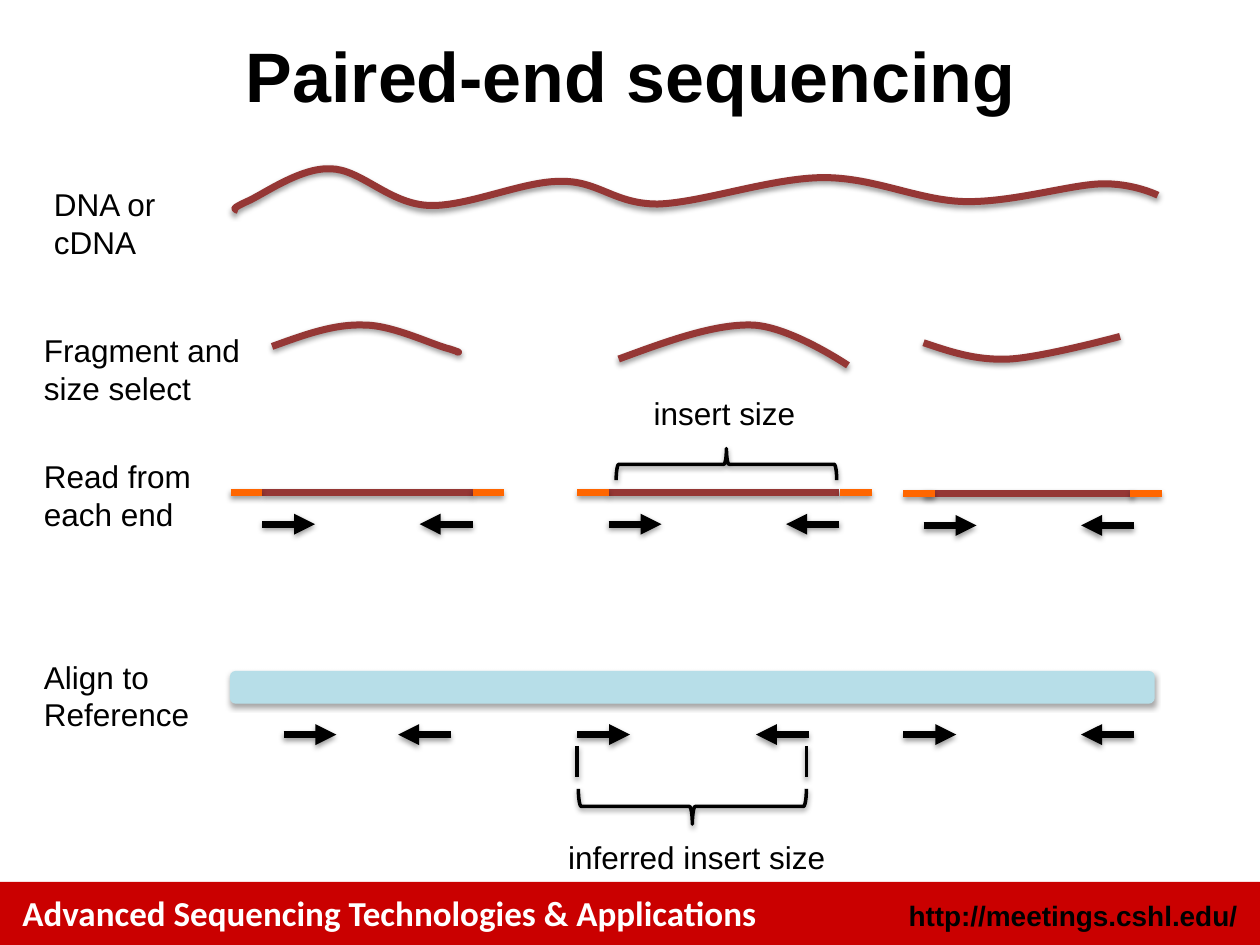
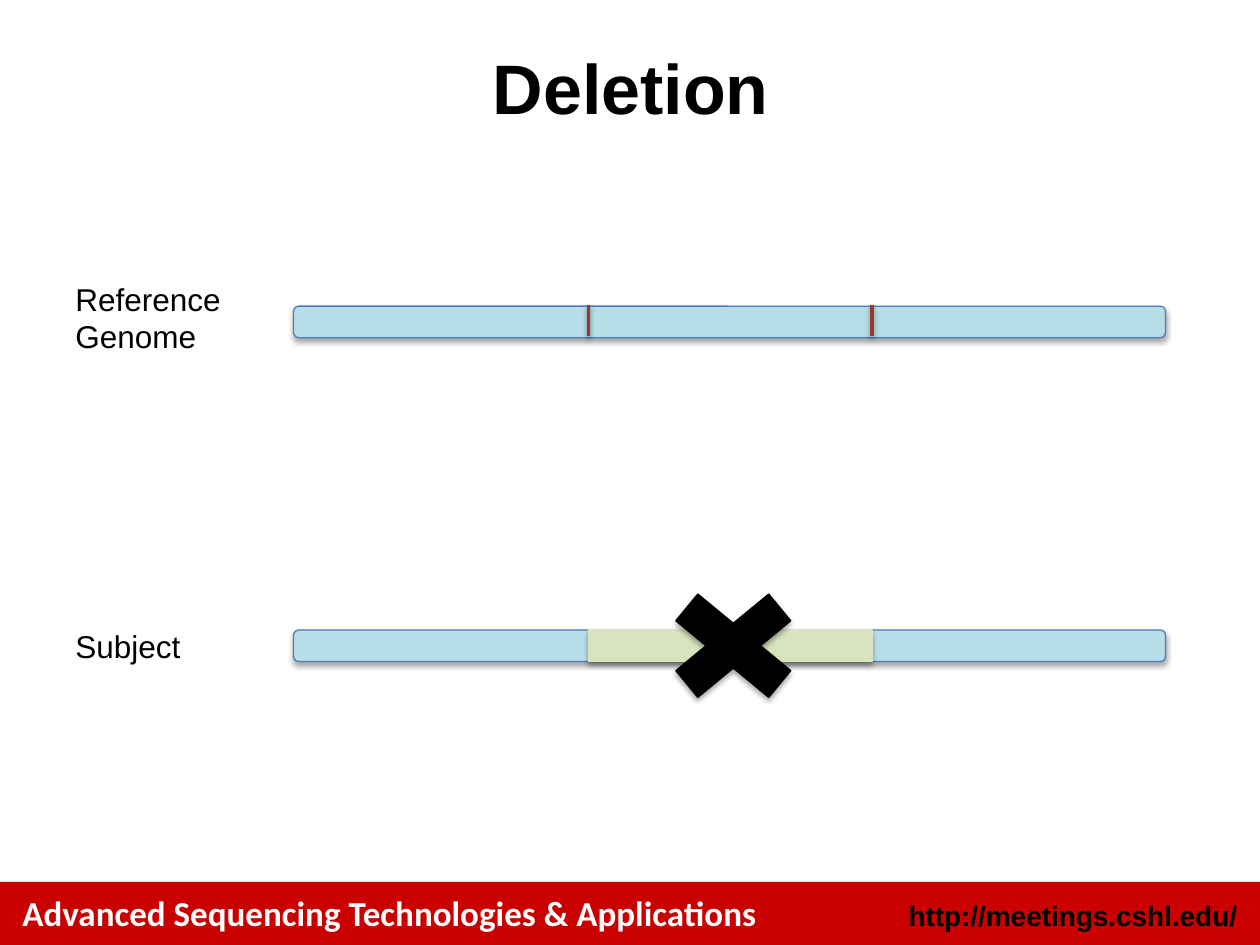
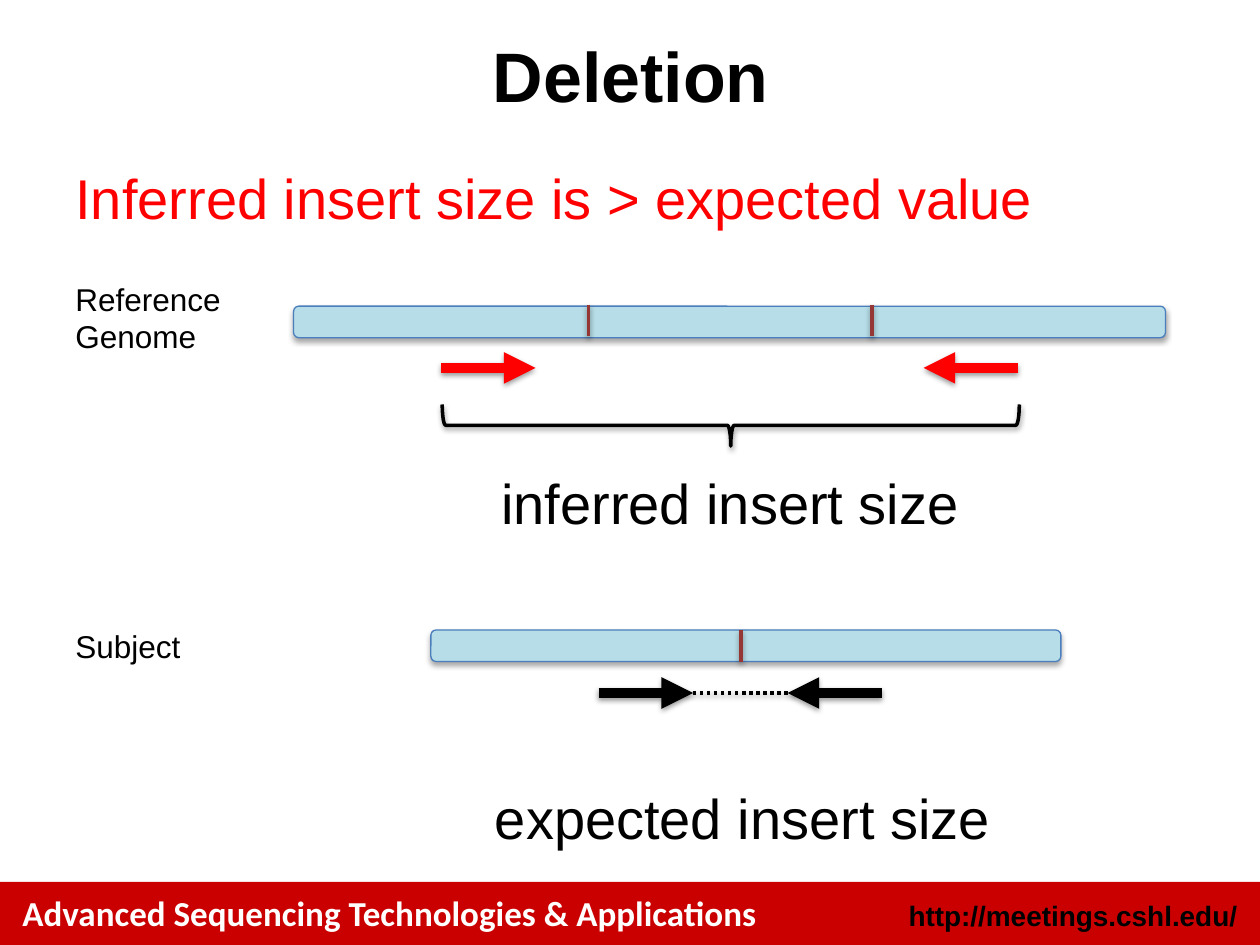
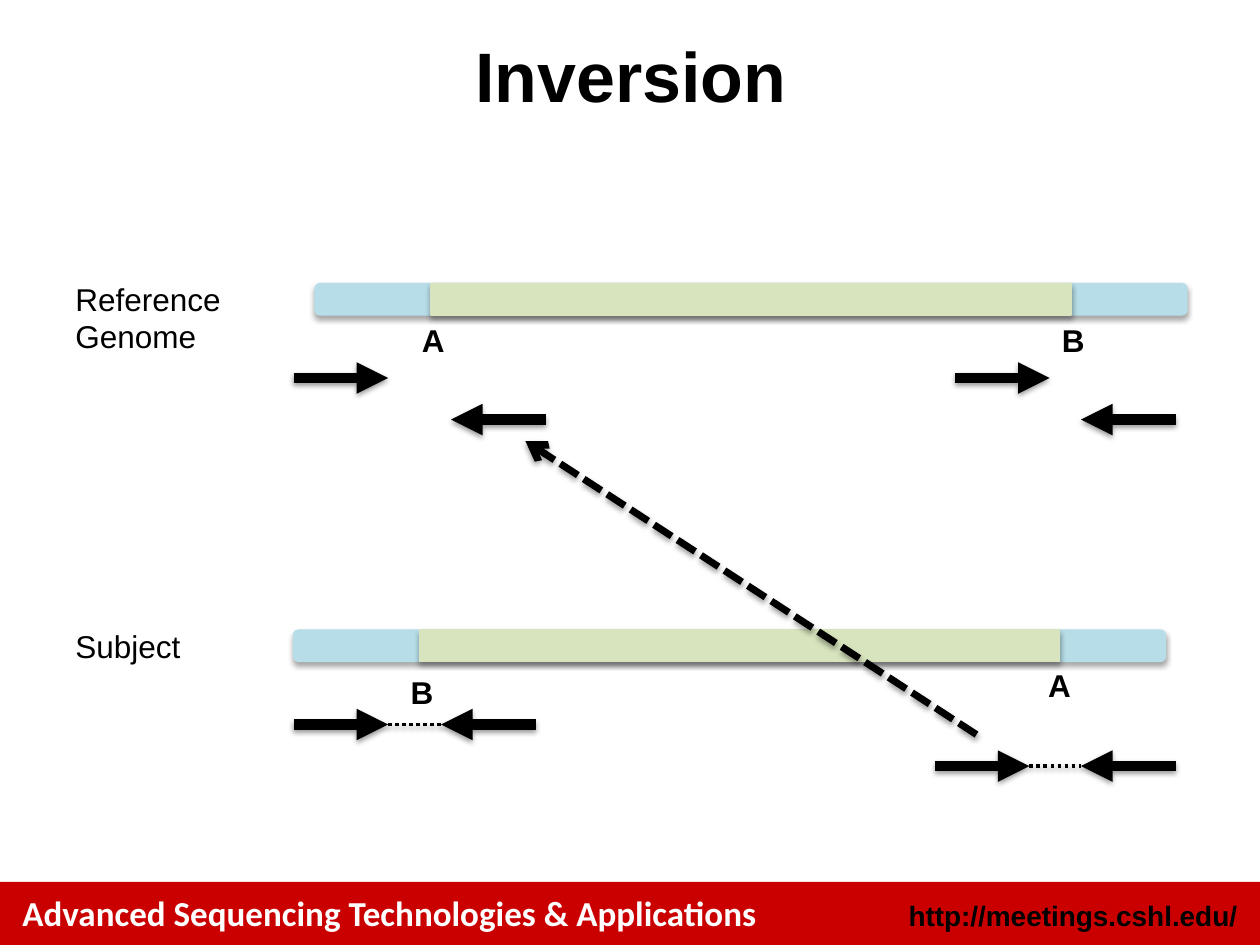
from lxml import etree
from pptx import Presentation
from pptx.dml.color import RGBColor
from pptx.enum.dml import MSO_LINE
from pptx.enum.shapes import MSO_CONNECTOR, MSO_SHAPE
from pptx.enum.text import MSO_ANCHOR, MSO_AUTO_SIZE, PP_ALIGN
from pptx.oxml.ns import qn
from pptx.util import Inches, Pt

STRAIGHT = MSO_CONNECTOR.STRAIGHT
RECTANGLE, ROUNDED = MSO_SHAPE.RECTANGLE, MSO_SHAPE.ROUNDED_RECTANGLE
LEFT_BRACE, CROSS = MSO_SHAPE.LEFT_BRACE, MSO_SHAPE.MATH_MULTIPLY
DOTTED, DASHED = MSO_LINE.ROUND_DOT, MSO_LINE.SQUARE_DOT
LEFT, CENTER, RIGHT = PP_ALIGN.LEFT, PP_ALIGN.CENTER, PP_ALIGN.RIGHT

# Shared look
BLACK, WHITE, RED, BAND_RED = "000000", "FFFFFF", "FF0000", "CA0000"
DNA, ADAPTER = "953735", "FF6600"
GENOME, GENOME_EDGE, SEGMENT = "B7DEE8", "4B7EBC", "D7E4BD"
BAND_TEXT = "Advanced Sequencing Technologies & Applications"
BAND_LINK = "http://meetings.cshl.edu/"
BAR_HEIGHT, BAR_WIDTH, SEGMENT_WIDTH = 0.25, 6.92, 5.08
BRACE_UP, BRACE_DOWN = 90, 270
SHORT_READ, LONG_READ = 0.42, 0.75

# Slide 1: step labels as (text, left, top, width)
STEPS = [
    ("DNA or cDNA", 0.33, 1.42, 1.25),
    ("Fragment and size select", 0.25, 2.58, 1.76),
    ("Read from each end", 0.25, 3.58, 1.42),
    ("Align to Reference", 0.25, 5.17, 1.43),
]
# Start point followed by three Bezier points per curve
STRANDS = [
    [(1.89, 1.67), (1.86, 1.66), (1.83, 1.66), (1.96, 1.6),
     (2.08, 1.55), (2.38, 1.33), (2.62, 1.34),
     (2.86, 1.34), (3.08, 1.61), (3.39, 1.63),
     (3.69, 1.65), (4.14, 1.44), (4.44, 1.44),
     (4.75, 1.43), (4.87, 1.62), (5.22, 1.62),
     (5.57, 1.61), (6.13, 1.41), (6.54, 1.41),
     (6.94, 1.41), (7.29, 1.59), (7.65, 1.6),
     (8.02, 1.61), (8.48, 1.47), (8.73, 1.46),
     (8.99, 1.45), (9.19, 1.55), (9.19, 1.55)],
    [(2.16, 2.75), (2.41, 2.66), (2.65, 2.57), (2.89, 2.58),
     (3.12, 2.58), (3.44, 2.74), (3.57, 2.77),
     (3.69, 2.81), (3.62, 2.79), (3.62, 2.79)],
    [(7.33, 2.72), (7.54, 2.79), (7.74, 2.86), (8, 2.85),
     (8.26, 2.84), (8.89, 2.67), (8.89, 2.67)],
    [(4.91, 2.85), (5.29, 2.71), (5.67, 2.57), (5.97, 2.58),
     (6.27, 2.59), (6.73, 2.9), (6.73, 2.9)],
]
# Fragments as (left, right, y, starts of the two adapters)
FRAGMENTS = [
    (2.08, 3.75, 3.91, (1.83, 3.75)),
    (4.83, 6.66, 3.91, (4.58, 6.67)),
    (7.33, 9, 3.92, (7.17, 8.97)),
]
ALIGNED_READS = [(2.25, 3.58), (4.58, 6.42), (7.17, 9)]

# Slides 2 to 4: rows and breakpoints
GENOME_LABELS = [("Reference Genome", 0.5, 2.17, 1.42), ("Subject", 0.5, 4.93, 1.42)]
REFERENCE_TOP, SUBJECT_TOP = 2.43, 5
BREAKPOINTS = [4.67, 6.92]

# Slide 4: inverted genomes as (bar left, bar top, segment left, marks)
INVERTED = [
    (2.5, 2.25, 3.42, [("A", 3.25, 2.5), ("B", 8.33, 2.5)]),
    (2.33, 5, 3.33, [("B", 3.16, 5.29), ("A", 8.22, 5.24)]),
]
FORWARD_READS = [(2.33, 3), (7.58, 3)]
REVERSE_READS = [(4.33, 3.33), (9.33, 3.33)]
SUBJECT_PAIRS = [(2.33, 4.25, 5.75), (7.42, 9.33, 6.08)]


def color(value):
    return RGBColor.from_string(value)


def add_shadow(part, opacity=38, distance=1.6):
    """Drop a soft shadow straight down; call after fill and line are set."""
    effects = etree.SubElement(part.element.spPr, qn("a:effectLst"))
    shadow = etree.SubElement(
        effects, qn("a:outerShdw"), blurRad=str(Pt(3.1)), dist=str(Pt(distance)),
        dir="5400000", rotWithShape="0")
    shade = etree.SubElement(shadow, qn("a:srgbClr"), val=BLACK)
    etree.SubElement(shade, qn("a:alpha"), val=str(opacity * 1000))


def add_text(page, text, left, top, width, height, size=18, ink=BLACK, bold=False,
             align=LEFT, font="Arial", wrap=True):
    box = page.shapes.add_textbox(Inches(left), Inches(top), Inches(width), Inches(height))
    frame = box.text_frame
    frame.word_wrap = wrap
    frame.text = text
    paragraph = frame.paragraphs[0]
    paragraph.alignment = align
    paragraph.font.name = font
    paragraph.font.size = Pt(size)
    paragraph.font.bold = bold
    paragraph.font.color.rgb = color(ink)
    return box


def add_labels(page, labels):
    for text, left, top, width in labels:
        height = 0.71 if " " in text else 0.4
        box = add_text(page, text, left, top, width, height)
        box.text_frame.auto_size = MSO_AUTO_SIZE.SHAPE_TO_FIT_TEXT


def add_block(page, kind, left, top, width, height, fill, edge=None):
    block = page.shapes.add_shape(
        kind, Inches(left), Inches(top), Inches(width), Inches(height))
    block.fill.solid()
    block.fill.fore_color.rgb = color(fill)
    block.line.color.rgb = color(edge or fill)
    block.line.width = Pt(0.75)
    add_shadow(block, 35, 1.8)


def add_genome(page, left, top, width=BAR_WIDTH, edge=GENOME_EDGE):
    add_block(page, ROUNDED, left, top, width, BAR_HEIGHT, GENOME, edge)


def add_segment(page, left, top, width):
    add_block(page, RECTANGLE, left, top, width, BAR_HEIGHT, SEGMENT)


def add_line(page, start, end, ink=BLACK, width=2, dash=None, head=None):
    line = page.shapes.add_connector(STRAIGHT, *(Inches(value) for value in (*start, *end)))
    line.line.color.rgb = color(ink)
    line.line.width = Pt(width)
    if dash is not None:
        line.line.dash_style = dash
    if head:
        etree.SubElement(line.element.spPr.find(qn("a:ln")), qn("a:tailEnd"), type=head)
    add_shadow(line)


def add_read(page, x, y, length, ink=BLACK):
    """Arrow from x; a negative length points left."""
    width = 4 if abs(length) == SHORT_READ else 6
    add_line(page, (x, y), (x + length, y), ink, width, head="triangle")


def add_read_pair(page, left, right, y, length, ink=BLACK):
    add_read(page, left, y, length, ink)
    add_read(page, right, y, -length, ink)


def add_tick(page, x, top, ink=DNA):
    add_line(page, (x, top), (x, top + BAR_HEIGHT), ink)


def add_brace(page, left, top, width, height, rotation):
    """Horizontal brace: an upright one turned about its centre."""
    shift = (width - height) / 2
    brace = page.shapes.add_shape(
        LEFT_BRACE, Inches(left + shift), Inches(top - shift), Inches(height), Inches(width))
    brace.rotation = rotation
    brace.fill.background()
    brace.line.color.rgb = color(BLACK)
    brace.line.width = Pt(2)
    add_shadow(brace)


def add_strand(page, points):
    start, *others = [(Inches(x), Inches(y)) for x, y in points]
    builder = page.shapes.build_freeform(*start)
    builder.add_line_segments(others, close=False)
    strand = builder.convert_to_shape()
    # Join each three straight steps into one Bezier curve
    steps = list(strand.element.iter(qn("a:lnTo")))
    for index in range(0, len(steps), 3):
        curve = etree.Element(qn("a:cubicBezTo"))
        steps[index].addprevious(curve)
        for step in steps[index:index + 3]:
            curve.append(step[0])
            step.getparent().remove(step)
    strand.fill.background()
    strand.line.color.rgb = color(DNA)
    strand.line.width = Pt(4)
    add_shadow(strand)


def add_page(deck, title, title_top=-0.03):
    page = deck.slides.add_slide(deck.slide_layouts[6])
    band = page.shapes.add_shape(RECTANGLE, 0, Inches(7), Inches(10), Inches(0.5))
    band.shadow.inherit = False
    band.fill.solid()
    band.fill.fore_color.rgb = color(BAND_RED)
    band.line.fill.background()
    add_text(page, BAND_TEXT, 0.08, 7.03, 7.33, 0.43, 20, WHITE, True, font="Calibri")
    add_text(page, BAND_LINK, 6.75, 7.08, 3.17, 0.37, 16, bold=True, align=RIGHT)
    heading = add_text(page, title, 0.17, title_top, 9.67, 1.25, 40, bold=True, align=CENTER)
    heading.text_frame.vertical_anchor = MSO_ANCHOR.MIDDLE
    return page


def build_sequencing(deck):
    page = add_page(deck, "Paired-end sequencing")
    add_labels(page, STEPS)
    for points in STRANDS:
        add_strand(page, points)
    # Fragments with adapters and reads
    for left, right, y, adapters in FRAGMENTS:
        add_line(page, (left, y), (right, y), DNA, 4)
        add_read_pair(page, left, right, y + 0.25, SHORT_READ)
        for start in adapters:
            add_line(page, (start, y), (start + 0.25, y), ADAPTER, 4)
    add_brace(page, 4.89, 3.56, 1.75, 0.25, BRACE_UP)
    add_text(page, "insert size", 5.08, 3.08, 1.34, 0.4, align=CENTER, wrap=False)
    # Reads aligned to the reference
    add_genome(page, 1.83, 5.33, 7.33, GENOME)
    for left, right in ALIGNED_READS:
        add_read_pair(page, left, right, 5.83, SHORT_READ)
    for x in (4.58, 6.4):
        add_tick(page, x, 5.92, BLACK)
    add_brace(page, 4.59, 6.26, 1.81, 0.28, BRACE_DOWN)
    add_text(page, "inferred insert size", 4.4, 6.6, 2.26, 0.4, align=CENTER, wrap=False)


def add_reference(page):
    add_labels(page, GENOME_LABELS)
    add_genome(page, 2.33, REFERENCE_TOP)
    for x in BREAKPOINTS:
        add_tick(page, x, 2.42)


def build_deletion(deck):
    page = add_page(deck, "Deletion", 0.06)
    add_reference(page)
    add_genome(page, 2.33, SUBJECT_TOP)
    add_segment(page, BREAKPOINTS[0], SUBJECT_TOP, BREAKPOINTS[1] - BREAKPOINTS[0])
    add_block(page, CROSS, 5.11, 4.54, 1.42, 1.17, BLACK)


def build_deletion_reads(deck):
    page = add_page(deck, "Deletion")
    add_text(page, "Inferred insert size is > expected value", 0.5, 1.25, 8.58, 0.64, 32, RED)
    add_reference(page)
    add_read_pair(page, 3.5, 8.08, 2.92, LONG_READ, RED)
    add_brace(page, 3.51, 3.21, 4.58, 0.33, BRACE_DOWN)
    add_text(page, "inferred insert size", 3.88, 3.67, 3.87, 0.64, 32, wrap=False)
    # Subject without the deleted part
    add_genome(page, 3.42, SUBJECT_TOP, 5)
    add_tick(page, 5.88, SUBJECT_TOP)
    add_read_pair(page, 4.75, 7, 5.5, LONG_READ)
    add_line(page, (5.33, 5.5), (6.33, 5.5), dash=DOTTED)
    add_text(page, "expected insert size", 3.83, 6.17, 4.17, 0.64, 32, wrap=False)


def build_inversion(deck):
    page = add_page(deck, "Inversion")
    add_labels(page, GENOME_LABELS)
    for left, top, segment_left, marks in INVERTED:
        add_genome(page, left, top, edge=GENOME)
        add_segment(page, segment_left, top, SEGMENT_WIDTH)
        for letter, mark_left, mark_top in marks:
            add_text(page, letter, mark_left, mark_top, 0.38, 0.4, bold=True, wrap=False)
    # Reads on the subject, then where they fall on the reference
    for left, right, y in SUBJECT_PAIRS:
        add_read_pair(page, left, right, y, LONG_READ)
        add_line(page, (left + LONG_READ, y), (right - LONG_READ, y), dash=DOTTED)
    for x, y in FORWARD_READS:
        add_read(page, x, y, LONG_READ)
    for x, y in REVERSE_READS:
        add_read(page, x, y, -LONG_READ)
    add_line(page, (7.75, 5.83), (4.17, 3.5), width=4, dash=DASHED, head="arrow")


def main():
    deck = Presentation()
    deck.slide_width, deck.slide_height = Inches(10), Inches(7.5)
    build_sequencing(deck)
    build_deletion(deck)
    build_deletion_reads(deck)
    build_inversion(deck)
    deck.save("out.pptx")


if __name__ == "__main__":
    main()
